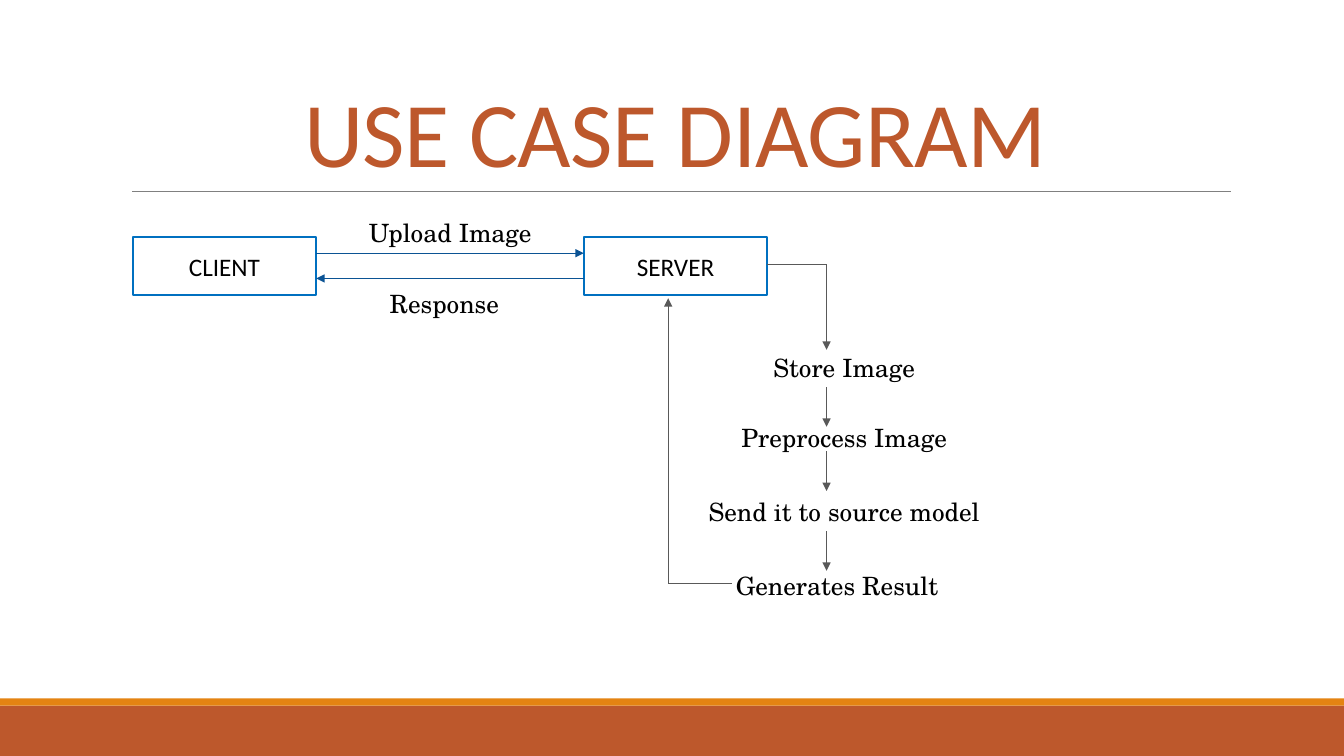
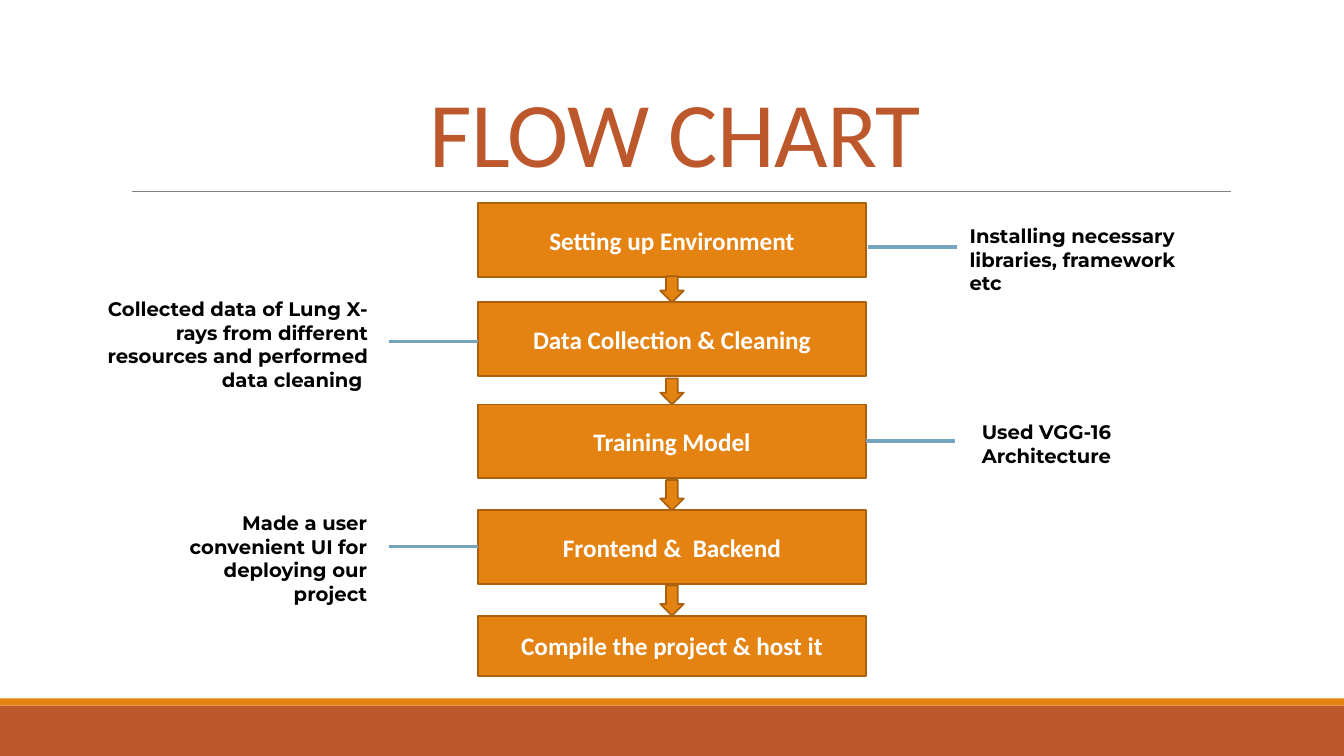
from dataclasses import dataclass
from itertools import pairwise

from lxml.etree import SubElement
from pptx import Presentation
from pptx.dml.color import RGBColor
from pptx.enum.shapes import MSO_CONNECTOR, MSO_SHAPE
from pptx.enum.text import MSO_ANCHOR as Anchor, PP_ALIGN as Align
from pptx.oxml.ns import qn
from pptx.shapes.autoshape import Shape
from pptx.slide import Slide
from pptx.util import Emu, Inches, Pt

COLS, ROWS = 160, 90
CELL = Inches(1) // 12

RUST = RGBColor(0xBD, 0x58, 0x2C)
ORANGE = RGBColor(0xE4, 0x83, 0x12)
BROWN = RGBColor(0xA9, 0x61, 0x0D)
BLUE = RGBColor(0x00, 0x70, 0xC0)
NAVY = RGBColor(0x0B, 0x53, 0x94)
STEEL = RGBColor(0x76, 0xA4, 0xC0)
GREY = RGBColor(0x80, 0x80, 0x80)
DARK = RGBColor(0x59, 0x59, 0x59)
BLACK = RGBColor(0, 0, 0)
WHITE = RGBColor(0xFF, 0xFF, 0xFF)


@dataclass(frozen=True)
class Box:
    """An area in grid cells."""
    x: float
    y: float
    w: float
    h: float

    @property
    def right(self) -> float:
        return self.x + self.w

    @property
    def bottom(self) -> float:
        return self.y + self.h

    def emu(self) -> tuple[Emu, ...]:
        return tuple(grid(v) for v in (self.x, self.y, self.w, self.h))


@dataclass(frozen=True)
class Style:
    font: str
    size: float
    color: RGBColor = BLACK
    bold: bool = False


@dataclass(frozen=True)
class Caption:
    text: str
    x: float
    y: float


@dataclass(frozen=True)
class Step:
    text: str
    y: float
    h: float = 8.75
    arrow: float = 0


@dataclass(frozen=True)
class Note:
    text: str
    box: Box
    align: Align
    line_x: float
    line_y: float


TITLE = Style("Calibri", 66, RUST)
NODE = Style("Calibri", 18)
CAPTION = Style("TeX Gyre Schola", 18)
STEP = Style("Calibri", 18, WHITE, True)
NOTE = Style("Montserrat", 14, bold=True)

CLIENT = Box(15.8, 28.2, 21.85, 6.95)
SERVER = Box(69.5, 28.2, 21.85, 6.95)
CAPTIONS = (
    Caption("Upload Image", 53.6, 27.7),
    Caption("Response", 52.9, 36.1),
    Caption("Store Image", 100.5, 43.7),
    Caption("Preprocess Image", 100.5, 52.1),
    Caption("Send it to source model", 100.5, 60.85),
    Caption("Generates Result", 99.65, 69.7),
)
CAPTION_W, CAPTION_H = 36, 6
TRUNK_X, LOOP_X = 98.4, 79.55
TASK_ARROW_TOPS, TASK_ARROW_H = (46.1, 53.75, 63.25), 4.7

STEP_W, STEP_ARROW_W = 46.2, 2.8
STEP_X = (COLS - STEP_W) / 2
STEPS = (
    Step("Setting up Environment", 24.2, arrow=3.1),
    Step("Data Collection & Cleaning", 36, arrow=3.1),
    Step("Training Model", 48.15, arrow=3.6),
    Step("Frontend &  Backend", 60.75, arrow=3.6),
    Step("Compile the project & host it", 73.3, 7.2),
)
NOTE_LINE_W = 10.6
LEFT_LINE_X, RIGHT_LINE_X = STEP_X - NOTE_LINE_W, STEP_X + STEP_W
NOTES = (
    Note("Installing necessary libraries, framework etc",
         Box(114.25, 25.45, 28.8, 8), Align.LEFT, RIGHT_LINE_X + 0.25, 29.4),
    Note("Collected data of Lung X-rays from different resources and "
         "performed data cleaning ",
         Box(11.4, 34.2, 33.6, 13.7), Align.RIGHT, LEFT_LINE_X, 40.7),
    Note("Used VGG-16 Architecture",
         Box(115.7, 48.85, 28.8, 8), Align.LEFT, RIGHT_LINE_X, 52.5),
    Note("Made a user convenient UI for deploying our project",
         Box(16.1, 59.65, 28.8, 10.9), Align.RIGHT, LEFT_LINE_X, 65.05),
)


def grid(cells: float) -> Emu:
    return Emu(round(cells * CELL))


def write(sp: Shape, text: str, style: Style, align: Align = Align.CENTER,
          anchor: Anchor = Anchor.MIDDLE, inset: float = 0.1) -> None:
    tf = sp.text_frame
    tf.word_wrap = True
    tf.vertical_anchor = anchor
    tf.margin_top = tf.margin_bottom = Inches(inset)
    p = tf.paragraphs[0]
    p.text, p.alignment = text, align
    p.font.name, p.font.size = style.font, Pt(style.size)
    p.font.bold, p.font.color.rgb = style.bold, style.color


def add_text(s: Slide, box: Box, text: str, style: Style,
             align: Align = Align.CENTER, anchor: Anchor = Anchor.MIDDLE) -> Shape:
    sp = s.shapes.add_textbox(*box.emu())
    write(sp, text, style, align, anchor)
    return sp


def add_block(s: Slide, box: Box, fill: RGBColor, line: RGBColor | None = None,
              kind: MSO_SHAPE = MSO_SHAPE.RECTANGLE) -> Shape:
    sp = s.shapes.add_shape(kind, *box.emu())
    sp.shadow.inherit = False
    sp.fill.solid()
    sp.fill.fore_color.rgb = fill
    if line is None:
        sp.line.fill.background()
    else:
        sp.line.color.rgb, sp.line.width = line, Pt(1.25)
    return sp


def add_line(s: Slide, x1: float, y1: float, x2: float, y2: float,
             color: RGBColor, width: float = 0.75, arrow: bool = False) -> None:
    """Draw a line, with an arrowhead at its end if arrow is set."""
    ends = (grid(v) for v in (x1, y1, x2, y2))
    cx = s.shapes.add_connector(MSO_CONNECTOR.STRAIGHT, *ends)
    cx.line.color.rgb, cx.line.width = color, Pt(width)
    if arrow:
        SubElement(cx.line._get_or_add_ln(), qn("a:tailEnd"), type="triangle")
    SubElement(cx._element.spPr, qn("a:effectLst"))


def add_titled_slide(prs: Presentation, title: str) -> Slide:
    """Add a blank slide with the shared bands, rule and title."""
    s = prs.slides.add_slide(prs.slide_layouts[6])
    add_block(s, Box(0, 84, COLS, 6), RUST)
    add_block(s, Box(0, 83.15, COLS, 0.85), ORANGE)
    add_line(s, 15.75, 22.75, 146.5, 22.75, GREY, 0.5)
    sp = s.shapes.add_textbox(*Box(14.4, 3.7, 132, 19.1).emu())
    write(sp, title, TITLE, anchor=Anchor.BOTTOM, inset=0.05)
    p = sp.text_frame.paragraphs[0]
    p.line_spacing = 0.85
    p.runs[0]._r.get_or_add_rPr().set("spc", "-50")
    return s


def add_use_case(prs: Presentation) -> None:
    s = add_titled_slide(prs, "USE CASE DIAGRAM")
    for text, box in (("CLIENT", CLIENT), ("SERVER", SERVER)):
        write(add_block(s, box, WHITE, BLUE), text, NODE)
    add_line(s, CLIENT.right, 30.15, SERVER.x, 30.15, NAVY, arrow=True)
    add_line(s, SERVER.x, 33.15, CLIENT.right, 33.15, NAVY, arrow=True)
    for c in CAPTIONS:
        add_text(s, Box(c.x - CAPTION_W / 2, c.y - CAPTION_H / 2,
                        CAPTION_W, CAPTION_H), c.text, CAPTION)
    add_line(s, SERVER.right, 31.5, TRUNK_X, 31.5, DARK)
    add_line(s, TRUNK_X, 31.5, TRUNK_X, 41.65, DARK, arrow=True)
    for y in TASK_ARROW_TOPS:
        add_line(s, TRUNK_X, y, TRUNK_X, y + TASK_ARROW_H, DARK, arrow=True)
    add_line(s, 87.1, 69.5, LOOP_X, 69.5, DARK)
    add_line(s, LOOP_X, 69.5, LOOP_X, 35.5, DARK, arrow=True)


def add_flow_chart(prs: Presentation) -> None:
    s = add_titled_slide(prs, "FLOW CHART")
    for step in STEPS:
        sp = add_block(s, Box(STEP_X, step.y, STEP_W, step.h), ORANGE, BROWN)
        write(sp, step.text, STEP)
    for step, following in pairwise(STEPS):
        add_block(s, Box((COLS - STEP_ARROW_W) / 2, following.y - step.arrow,
                         STEP_ARROW_W, step.arrow),
                  ORANGE, BROWN, MSO_SHAPE.DOWN_ARROW)
    for n in NOTES:
        add_line(s, n.line_x, n.line_y, n.line_x + NOTE_LINE_W, n.line_y,
                 STEEL, 2.25)
        add_text(s, n.box, n.text, NOTE, n.align, Anchor.TOP)


def main() -> None:
    prs = Presentation()
    prs.slide_width, prs.slide_height = grid(COLS), grid(ROWS)
    add_use_case(prs)
    add_flow_chart(prs)
    prs.save("out.pptx")


if __name__ == "__main__":
    main()
